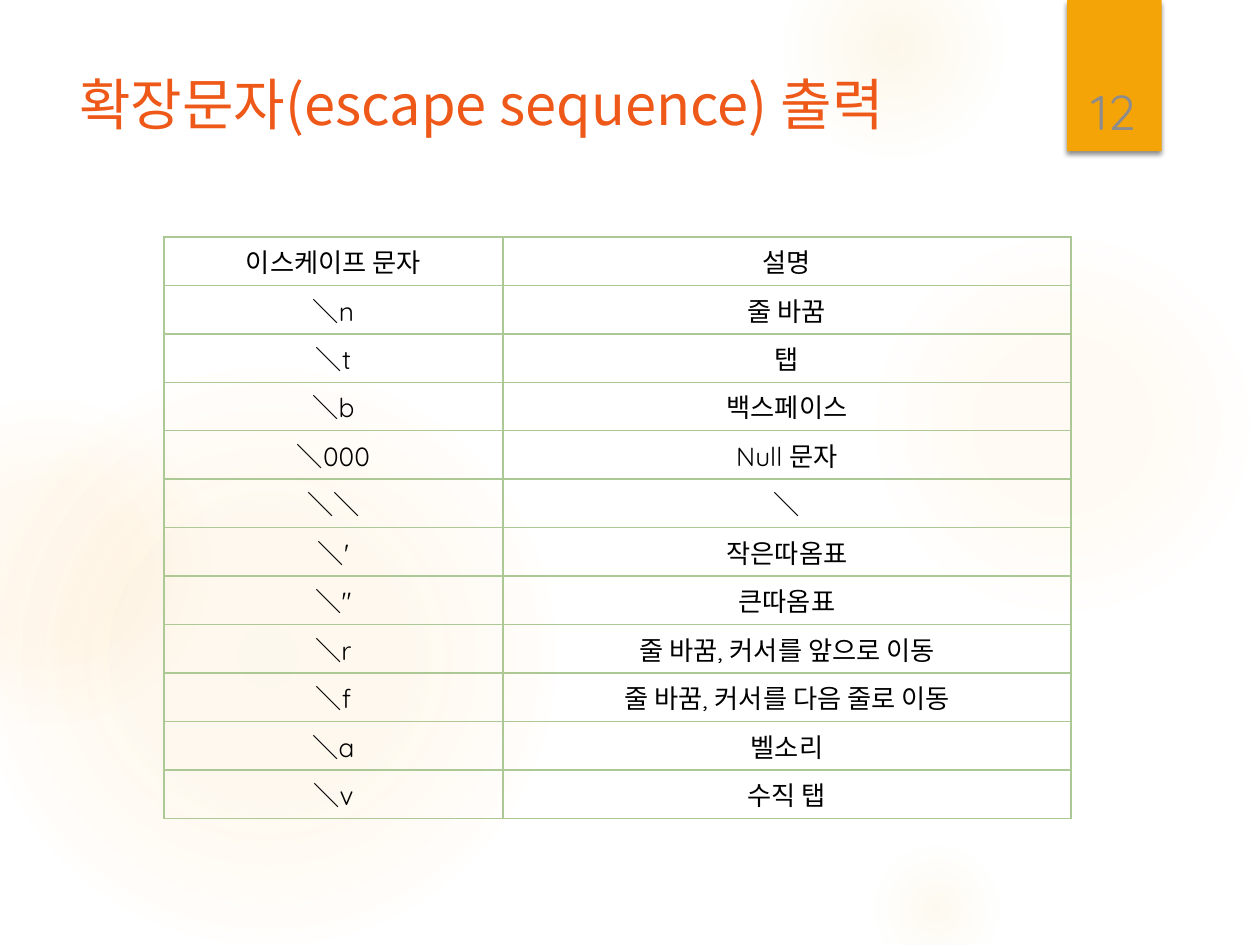
from pptx import Presentation
from pptx.dml.color import RGBColor
from pptx.enum.shapes import MSO_SHAPE
from pptx.enum.text import MSO_ANCHOR, PP_ALIGN
from pptx.oxml import parse_xml
from pptx.oxml.ns import nsdecls
from pptx.util import Inches, Pt

SANS = "Noto Sans CJK KR"
ROUND = "Quicksand"
GLOWS = [
    (6.89, 1.83, 3.08, [(0, 7), (36, 6), (69, 0)]),
    (6.22, -0.5, 1.75, [(0, 14), (36, 7), (73, 0)]),
    (6.89, 6.67, 1.08, [(0, 10), (31, 5), (66, 0)]),
    (-0.17, 2.92, 4.58, [(0, 11), (36, 10), (75, 0)]),
    (-0.92, 3.17, 2.58, [(0, 8), (36, 8), (72, 0)]),
]
ROWS = [
    ("이스케이프 문자", "설명"),
    ("＼n", "줄 바꿈"),
    ("＼t", "탭"),
    ("＼b", "백스페이스"),
    ("＼000", "Null 문자"),
    ("＼＼", "＼"),
    ("＼'", "작은따옴표"),
    ('＼"', "큰따옴표"),
    ("＼r", "줄 바꿈, 커서를 앞으로 이동"),
    ("＼f", "줄 바꿈, 커서를 다음 줄로 이동"),
    ("＼a", "벨소리"),
    ("＼v", "수직 탭"),
]


def paint(code):
    return RGBColor.from_string(code)


def xml(tag, body):
    return parse_xml(f"<a:{tag} {nsdecls('a')}{body}")


def tone(code, share):
    return f'<a:srgbClr val="{code}"><a:alpha val="{share * 1000}"/></a:srgbClr>'


def write(frame, text, size, face, code, align):
    frame.text = text
    line = frame.paragraphs[0]
    line.alignment = align
    for run in line.runs:
        run.font.size = Pt(size)
        run.font.name = face
        run.font.color.rgb = paint(code)
        run.font._element.find("{*}latin").addnext(
            xml("ea", f' typeface="{SANS}"/>'))


def label(slide, box, text, size, face, code, align, anchor):
    frame = slide.shapes.add_textbox(*map(Inches, box)).text_frame
    frame.word_wrap = True
    frame.vertical_anchor = anchor
    write(frame, text, size, face, code, align)


def form(slide, kind, box):
    shape = slide.shapes.add_shape(kind, *map(Inches, box))
    shape.shadow.inherit = False
    shape.line.fill.background()
    return shape


def glow(slide, box, stops):
    shape = form(slide, MSO_SHAPE.OVAL, box)
    marks = "".join(f'<a:gs pos="{spot * 1000}">{tone("FAC96A", share)}</a:gs>'
                    for spot, share in stops)
    shape._element.spPr.find("{*}prstGeom").addnext(xml(
        "gradFill", f'><a:gsLst>{marks}</a:gsLst><a:path path="circle">'
        '<a:fillToRect l="50000" t="50000" r="50000" b="50000"/>'
        "</a:path></a:gradFill>"))


def badge(slide, box, text):
    shape = form(slide, MSO_SHAPE.RECTANGLE, box)
    shape.fill.solid()
    shape.fill.fore_color.rgb = paint("F5A408")
    shape._element.spPr.find("{*}effectLst").append(xml(
        "outerShdw", f' blurRad="{Pt(3)}" dist="{Pt(2)}" dir="5400000"'
        f' rotWithShape="0">{tone("000000", 45)}</a:outerShdw>'))
    left, top, width, height = box
    inner = (left + 0.02, top + 0.32, width - 0.06, height - 0.36)
    label(slide, inner, text, 28, ROUND, "8C8C8C",
          PP_ALIGN.CENTER, MSO_ANCHOR.BOTTOM)


def edge(cell):
    props = cell._tc.get_or_add_tcPr()
    for side in "LRTB":
        props.append(xml(
            f"ln{side}", f' w="{Pt(1)}"><a:solidFill><a:srgbClr val="ACC995"/>'
            f"</a:solidFill></a:ln{side}>"))


def chart(slide, box, rows):
    table = slide.shapes.add_table(len(rows), 2, *map(Inches, box)).table
    table.first_row = table.horz_banding = False
    for col, share in zip(table.columns, (0.374, 0.626)):
        col.width = Inches(box[2] * share)
    for r, row in enumerate(rows):
        for c, text in enumerate(row):
            cell = table.cell(r, c)
            edge(cell)
            cell.fill.background()
            cell.vertical_anchor = MSO_ANCHOR.MIDDLE
            cell.margin_left = cell.margin_right = Inches(0.08)
            cell.margin_top = cell.margin_bottom = Inches(0.04)
            write(cell.text_frame, text, 15, ROUND, "000000", PP_ALIGN.CENTER)


def main():
    deck = Presentation()
    deck.slide_width, deck.slide_height = Inches(10), Inches(7.5)
    slide = deck.slides.add_slide(deck.slide_layouts[6])
    for left, top, size, stops in GLOWS:
        glow(slide, (left, top, size, size), stops)
    label(slide, (0.53, 0.5, 7.72, 1.53), "확장문자(escape sequence) 출력",
          32, SANS, "EE5818", PP_ALIGN.LEFT, MSO_ANCHOR.TOP)
    chart(slide, (1.3, 1.88, 7.2, 4.62), ROWS)
    badge(slide, (8.47, 0, 0.75, 1.2), "12")
    deck.save("out.pptx")


if __name__ == "__main__":
    main()
